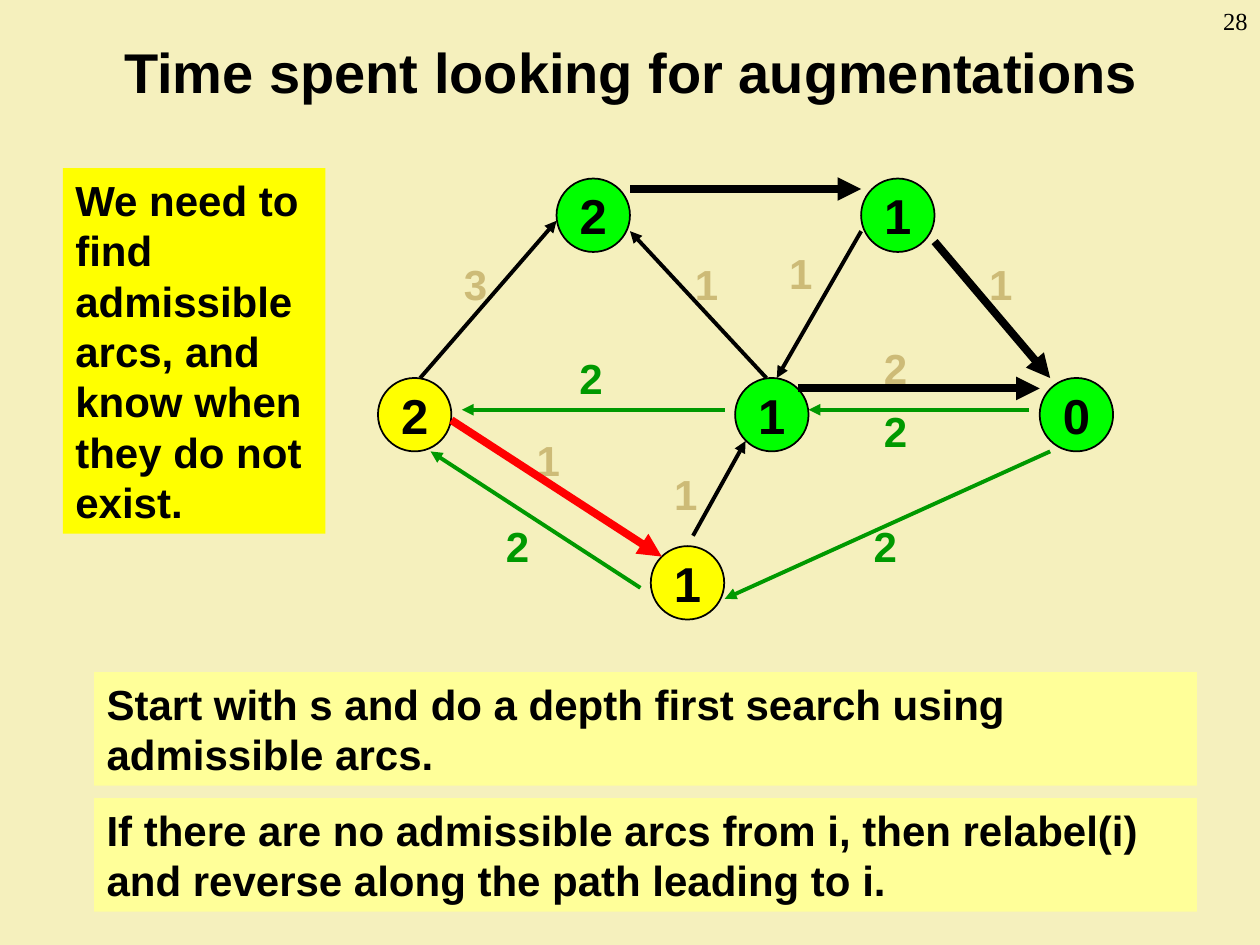
from lxml.etree import SubElement
from pptx import Presentation
from pptx.dml.color import RGBColor
from pptx.enum.shapes import MSO_CONNECTOR as Connector, MSO_SHAPE as Shape
from pptx.enum.text import MSO_ANCHOR as Anchor, PP_ALIGN as Align
from pptx.oxml.ns import qn
from pptx.util import Cm, Pt

BLACK, RED, GREEN, TAN = "000000", "FF0000", "009900", "CDBB77"
LIME, YELLOW, PALE_YELLOW, CREAM = "00FF00", "FFFF00", "FFFF99", "F5F0BD"
NODE_SIZE = 1.48
THIN, THICK = 2.25, 4.5

# left, top, distance label, fill
NODES = [
    (20.96, 7.62, "0", LIME),
    (11.22, 3.6, "2", LIME),
    (14.82, 7.62, "1", LIME),
    (17.36, 3.6, "1", LIME),
    (7.62, 7.62, "2", YELLOW),
    (13.12, 11.01, "1", YELLOW),
]

# start, end, colour
THIN_ARCS = [
    ((8.47, 7.62), (11.22, 4.45), BLACK),
    ((15.45, 7.62), (12.7, 4.66), BLACK),
    ((17.36, 4.66), (15.66, 7.62), BLACK),
    ((13.97, 10.8), (15.03, 8.89), BLACK),
    ((14.61, 8.26), (9.31, 8.26), GREEN),
    ((20.74, 8.26), (16.3, 8.26), GREEN),
    ((12.91, 11.85), (8.68, 9.1), GREEN),
    ((21.17, 9.1), (14.61, 12.07), GREEN),
]
ADMISSIBLE_ARCS = [
    ((12.7, 3.81), (17.36, 3.81), BLACK),
    ((16.09, 7.83), (20.96, 7.83), BLACK),
    ((18.84, 4.87), (21.17, 7.62), BLACK),
    ((9.1, 8.47), (13.34, 11.22), RED),
]

# left, top, residual capacity, colour
CAPACITIES = [
    (17.36, 10.37, "2", GREEN),
    (9.95, 10.37, "2", GREEN),
    (17.57, 8.04, "2", GREEN),
    (17.57, 6.77, "2", TAN),
    (11.43, 6.99, "2", GREEN),
    (19.69, 5.08, "1", TAN),
    (15.66, 4.87, "1", TAN),
    (13.34, 9.31, "1", TAN),
    (9.1, 5.08, "3", TAN),
    (10.57, 8.64, "1", TAN),
    (13.76, 5.08, "1", TAN),
]

# left, top, width, height, text, fill
NOTES = [
    (1.9, 13.55, 22.23, 2.29,
     "Start with s and do a depth first search using admissible arcs.", PALE_YELLOW),
    (1.9, 16.09, 22.23, 2.29,
     "If there are no admissible arcs from i, then relabel(i) "
     "and reverse along the path leading to i.", PALE_YELLOW),
    (1.27, 3.39, 5.29, 7.37,
     "We need to find admissible arcs, and know when they do not exist.", YELLOW),
]


def rgb(colour):
    return RGBColor.from_string(colour)


def write(box, text, size, colour=BLACK, align=Align.LEFT, font="Arial", bold=True):
    para = box.text_frame.paragraphs[0]
    para.alignment = align
    span = para.add_run()
    span.text = text
    span.font.name = font
    span.font.size = Pt(size)
    span.font.bold = bold
    span.font.color.rgb = rgb(colour)


def add_text(page, left, top, width, height, text, size, fill=None,
             anchor=Anchor.TOP, **style):
    box = page.shapes.add_textbox(Cm(left), Cm(top), Cm(width), Cm(height))
    box.text_frame.word_wrap = True
    box.text_frame.vertical_anchor = anchor
    if fill:
        box.fill.solid()
        box.fill.fore_color.rgb = rgb(fill)
    write(box, text, size, **style)


def add_node(page, left, top, label, fill):
    node = page.shapes.add_shape(
        Shape.OVAL, Cm(left), Cm(top), Cm(NODE_SIZE), Cm(NODE_SIZE))
    node.shadow.inherit = False
    node.fill.solid()
    node.fill.fore_color.rgb = rgb(fill)
    node.line.color.rgb = rgb(BLACK)
    node.line.width = Pt(1)
    node.text_frame.word_wrap = False
    node.text_frame.vertical_anchor = Anchor.MIDDLE
    write(node, label, 28, align=Align.CENTER)


def add_arc(page, start, end, colour, width):
    """Draw a straight line with an arrowhead at its end."""
    arc = page.shapes.add_connector(
        Connector.STRAIGHT, *(Cm(value) for value in (*start, *end)))
    arc.line.color.rgb = rgb(colour)
    arc.line.width = Pt(width)
    SubElement(arc.line._get_or_add_ln(), qn("a:tailEnd"), type="triangle")
    SubElement(arc._element.spPr, qn("a:effectLst"))


def main():
    deck = Presentation()
    deck.slide_width, deck.slide_height = Cm(25.4), Cm(19.05)
    page = deck.slides.add_slide(deck.slide_layouts[6])
    page.background.fill.solid()
    page.background.fill.fore_color.rgb = rgb(CREAM)

    add_text(page, 1.3, 0.33, 22.86, 2.21, "Time spent looking for augmentations",
             32, anchor=Anchor.MIDDLE, align=Align.CENTER)
    for left, top, capacity, colour in CAPACITIES:
        add_text(page, left, top, 1.5, 1.27, capacity, 24, colour=colour)
    for arc in THIN_ARCS:
        add_arc(page, *arc, THIN)
    for node in NODES:
        add_node(page, *node)
    for arc in ADMISSIBLE_ARCS:
        add_arc(page, *arc, THICK)
    for left, top, width, height, text, fill in NOTES:
        add_text(page, left, top, width, height, text, 24, fill=fill)
    add_text(page, 23.29, 0, 2.11, 1.27, "28", 14, align=Align.RIGHT,
             font="Times New Roman", bold=False)

    deck.save("out.pptx")


if __name__ == "__main__":
    main()
